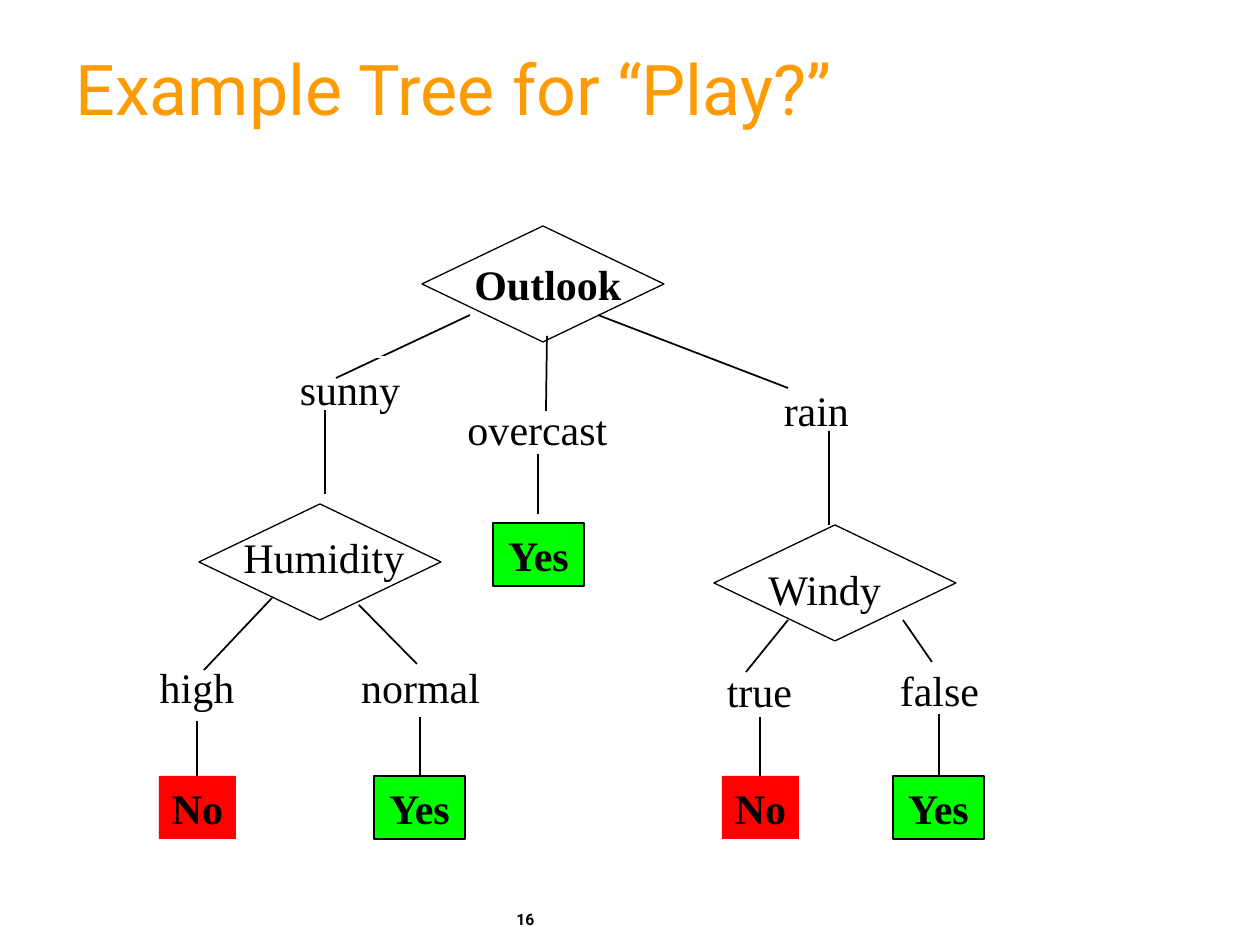
from dataclasses import dataclass

from lxml.etree import SubElement
from pptx import Presentation
from pptx.dml.color import RGBColor
from pptx.enum.shapes import MSO_CONNECTOR, MSO_SHAPE
from pptx.enum.text import MSO_ANCHOR, MSO_AUTO_SIZE, PP_ALIGN
from pptx.oxml.ns import qn
from pptx.util import Emu, Pt


@dataclass(frozen=True)
class Theme:
    ink: RGBColor = RGBColor(0, 0, 0)
    paper: RGBColor = RGBColor(255, 255, 255)
    title: RGBColor = RGBColor(0xFE, 0x9B, 0x03)
    yes: RGBColor = RGBColor(0, 255, 0)
    no: RGBColor = RGBColor(255, 0, 0)
    heading_font: str = "Roboto"
    tree_font: str = "Times New Roman"
    title_size: int = 40
    tree_size: int = 24
    number_size: int = 9
    edge: float = 1
    thin: float = 0.75


THEME = Theme()
ROW_H = 63
DIAMOND_W, DIAMOND_H = 242, 116

EDGES = [
    (470, 315, 336, 378), (547, 336, 546, 411), (598, 315, 788, 388),
    (272, 598, 204, 670), (359, 605, 417, 664),
    (788, 620, 746, 672), (903, 620, 932, 662),
    (197, 721, 197, 781), (939, 714, 939, 775), (760, 717, 760, 777),
    (420, 717, 420, 777), (538, 454, 538, 514),
]
THIN_EDGES = [(325, 410, 325, 494), (829, 431, 829, 525)]
BRANCHES = [
    ("overcast", 455, 397, 165), ("high", 147, 655, 100),
    ("normal", 348, 655, 145), ("false", 887, 658, 105),
    ("true", 714, 659, 91), ("rain", 771, 378, 91),
]
LEAVES = [
    ("No", 159, 776), ("No", 722, 776),
    ("Yes", 374, 776), ("Yes", 893, 776), ("Yes", 493, 523),
]
TESTS = [
    (422, 226, "Outlook", 462, 252, 175, True),
    (199, 504, "Humidity", 231, 525, 188, False),
    (714, 525, "Windy", 756, 557, 140, False),
]


def px(n):
    return Emu(round(n * 914400 / 126))


def write(sp, text, size, font, color=THEME.ink, bold=False, align=PP_ALIGN.LEFT):
    p = sp.text_frame.paragraphs[0]
    p.text = text
    p.alignment = align
    p.font.size = Pt(size)
    p.font.name = font
    p.font.bold = bold
    p.font.color.rgb = color
    return p


def write_tree(sp, text, bold=False, align=PP_ALIGN.CENTER):
    tf = sp.text_frame
    tf.word_wrap = False
    tf.auto_size = MSO_AUTO_SIZE.SHAPE_TO_FIT_TEXT
    tf.vertical_anchor = MSO_ANCHOR.TOP
    write(sp, text, THEME.tree_size, THEME.tree_font, bold=bold, align=align)


def add_box(s, x, y, w, h):
    sp = s.shapes.add_textbox(px(x), px(y), px(w), px(h))
    sp.text_frame.word_wrap = True
    return sp


def add_outline(s, kind, x, y, w, h, fill=None, line=None, width=THEME.edge):
    sp = s.shapes.add_shape(kind, px(x), px(y), px(w), px(h))
    sp.shadow.inherit = False
    if fill is None:
        sp.fill.background()
    else:
        sp.fill.solid()
        sp.fill.fore_color.rgb = fill
    if line is None:
        sp.line.fill.background()
    else:
        sp.line.color.rgb = line
        sp.line.width = Pt(width)
    return sp


def add_edge(s, ends, width=THEME.edge):
    c = s.shapes.add_connector(MSO_CONNECTOR.STRAIGHT, *map(px, ends))
    c.line.color.rgb = THEME.ink
    c.line.width = Pt(width)
    SubElement(c._element.spPr, qn("a:effectLst"))


def add_branch(s, text, x, y, w):
    write_tree(add_box(s, x, y, w, ROW_H), text)


def add_leaf(s, text, x, y):
    w, fill, line = (91, THEME.yes, THEME.ink) if text == "Yes" else (77, THEME.no, None)
    sp = add_outline(s, MSO_SHAPE.RECTANGLE, x, y, w, ROW_H, fill, line)
    write_tree(sp, text, bold=True)


def add_test(s, x, y, text, tx, ty, tw, bold):
    add_outline(s, MSO_SHAPE.DIAMOND, x, y, DIAMOND_W, DIAMOND_H,
                line=THEME.ink, width=THEME.thin)
    write_tree(add_box(s, tx, ty, tw, ROW_H), text, bold, PP_ALIGN.LEFT)


def add_title(s, text):
    sp = add_box(s, 63, 31, 1144, 126)
    sp.text_frame.vertical_anchor = MSO_ANCHOR.MIDDLE
    p = write(sp, text, THEME.title_size, THEME.heading_font, THEME.title)
    p.line_spacing = 0.85


def add_number(s, text):
    sp = add_box(s, 504, 904, 129, 42)
    write(sp, text, THEME.number_size, THEME.heading_font, bold=True)


def main():
    prs = Presentation()
    prs.slide_width, prs.slide_height = px(1260), px(945)
    s = prs.slides.add_slide(prs.slide_layouts[6])
    add_title(s, "Example Tree for “Play?”")
    for ends in EDGES:
        add_edge(s, ends)
    for branch in BRANCHES:
        add_branch(s, *branch)
    sunny = add_outline(s, MSO_SHAPE.RECTANGLE, 287, 357, 126, ROW_H, line=THEME.paper)
    write_tree(sunny, "sunny")
    for leaf in LEAVES:
        add_leaf(s, *leaf)
    for test in TESTS:
        add_test(s, *test)
    for ends in THIN_EDGES:
        add_edge(s, ends, THEME.thin)
    add_number(s, "16")
    prs.save("out.pptx")


if __name__ == "__main__":
    main()
